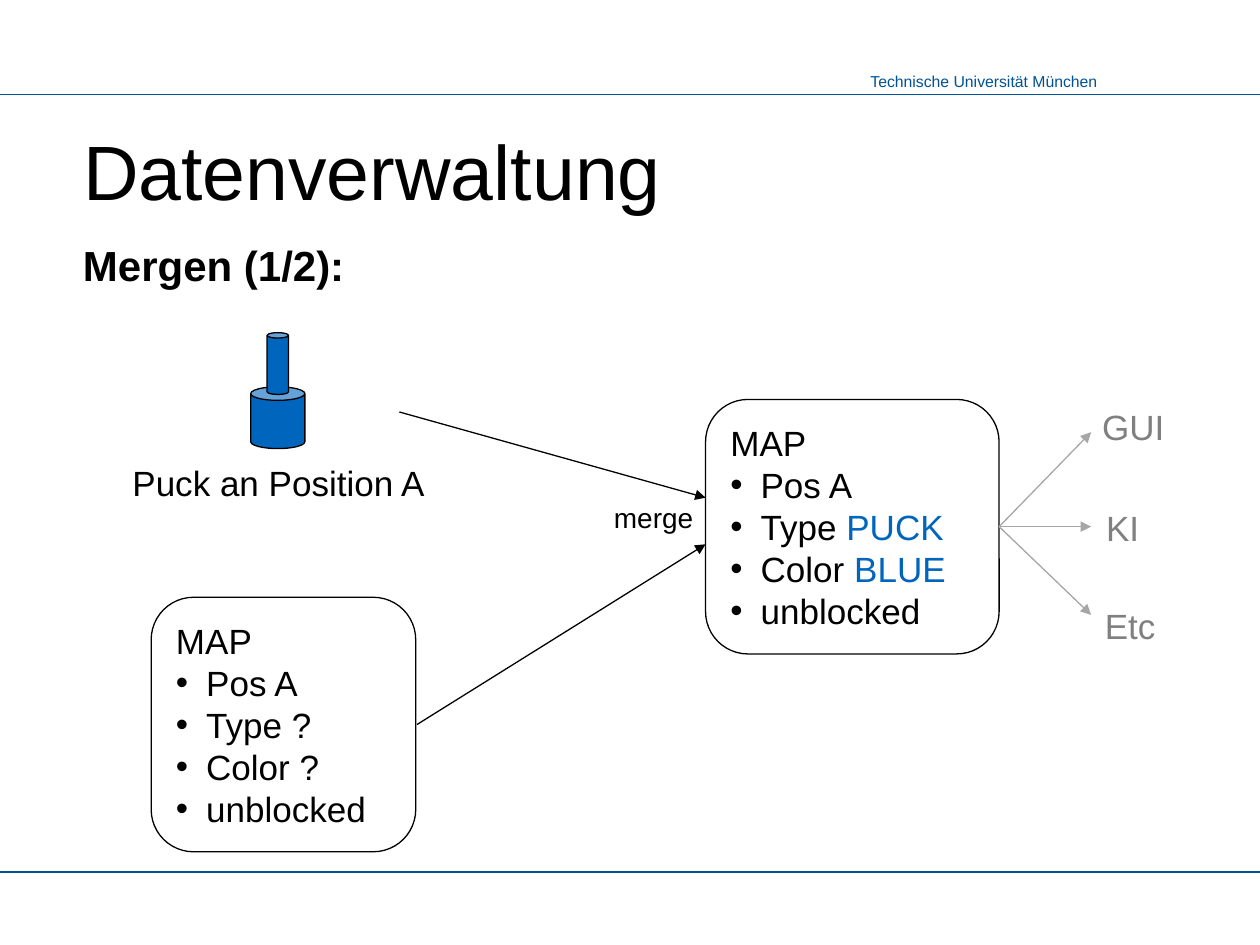
from lxml import etree
from pptx import Presentation
from pptx.dml.color import RGBColor
from pptx.enum import shapes, text
from pptx.oxml.ns import qn
from pptx.util import Inches, Pt

COLORS = {"ink": "000000", "rule": "005293", "blue": "0065BD",
          "arrow": "A6A6A6", "consumer": "808080"}
SHAPE = shapes.MSO_SHAPE
LEFT, RIGHT = text.PP_ALIGN.LEFT, text.PP_ALIGN.RIGHT


def rgb(name):
    return RGBColor.from_string(COLORS[name])


def style(run, size, color="ink", bold=False):
    run.font.name = "Arial"
    run.font.size = Pt(size)
    run.font.bold = bold
    run.font.color.rgb = rgb(color)


def add_label(slide, words, box, size, color="ink", align=LEFT,
              bold=False, wrap=False):
    frame = slide.shapes.add_textbox(*map(Inches, box)).text_frame
    frame.word_wrap = wrap
    frame.text = words
    frame.paragraphs[0].alignment = align
    style(frame.paragraphs[0].runs[0], size, color, bold)


def add_line(slide, start, end, color="ink", arrow=False):
    line = slide.shapes.add_connector(
        shapes.MSO_CONNECTOR.STRAIGHT, *map(Inches, start + end))
    line.line.color.rgb = rgb(color)
    line.line.width = Pt(0.75)
    if arrow:
        etree.SubElement(line.line._get_or_add_ln(), qn("a:tailEnd"), type="triangle")
    etree.SubElement(line._element.spPr, qn("a:effectLst"))


def add_outlined(slide, preset, box, fill=None):
    shape = slide.shapes.add_shape(preset, *map(Inches, box))
    shape.shadow.inherit = False
    if fill:
        shape.fill.solid()
        shape.fill.fore_color.rgb = rgb(fill)
    else:
        shape.fill.background()
    shape.line.color.rgb = rgb("ink")
    shape.line.width = Pt(0.75)
    return shape


def add_bullet(paragraph):
    properties = paragraph._p.get_or_add_pPr()
    properties.set("marL", str(Inches(0.24)))
    properties.set("indent", str(-Inches(0.24)))
    etree.SubElement(properties, qn("a:buFont"), typeface="Arial")
    etree.SubElement(properties, qn("a:buChar"), char="•")


def add_map(slide, box, entries):
    """Add a MAP box; each entry is a list of (words, colour) pieces."""
    frame = add_outlined(slide, SHAPE.ROUNDED_RECTANGLE, box).text_frame
    frame.word_wrap = True
    frame.vertical_anchor = text.MSO_ANCHOR.MIDDLE
    for index, pieces in enumerate([[("MAP", "ink")]] + entries):
        paragraph = frame.add_paragraph() if index else frame.paragraphs[0]
        paragraph.alignment = LEFT
        if index:
            add_bullet(paragraph)
        for words, color in pieces:
            run = paragraph.add_run()
            run.text = words
            style(run, 20, color)


def set_title(slide, words):
    title = slide.shapes.title
    title.left, title.top, title.width, title.height = map(
        Inches, (0.56, 0.93, 8.89, 0.66))
    frame = title.text_frame
    frame.text = words
    frame.auto_size = text.MSO_AUTO_SIZE.NONE
    frame.vertical_anchor = text.MSO_ANCHOR.TOP
    frame.paragraphs[0].alignment = LEFT
    style(frame.paragraphs[0].runs[0], 44)


def main():
    deck = Presentation()
    deck.slide_width, deck.slide_height = Inches(10), Inches(7.5)
    slide = deck.slides.add_slide(deck.slide_layouts[5])

    add_label(slide, "Technische Universität München", (6.81, 0.52, 2.01, 0.25), 9, "rule")
    for y in (6.92, 0.75):
        add_line(slide, (0, y), (10, y), "rule")
    set_title(slide, "Datenverwaltung")
    add_label(slide, "Mergen (1/2):", (0.56, 1.85, 8.89, 0.6), 24, bold=True, wrap=True)

    for puck_part in ((1.99, 3.07, 0.43, 0.49), (2.12, 2.64, 0.17, 0.49)):
        add_outlined(slide, SHAPE.CAN, puck_part, "blue")
    add_label(slide, "Puck an Position A", (0.95, 3.61, 2.52, 0.43), 20, align=RIGHT)

    add_map(slide, (1.2, 4.74, 2.1, 2.02),
            [[(words, "ink")] for words in ("Pos A", "Type ?", "Color ?", "unblocked")])
    add_map(slide, (5.6, 3.17, 2.33, 2.02),
            [[("Pos A", "ink")],
             [("Type ", "ink"), ("PUCK", "blue")],
             [("Color ", "ink"), ("BLUE", "blue")],
             [("unblocked", "ink")]])

    add_line(slide, (3.31, 5.75), (5.6, 4.32), arrow=True)
    add_line(slide, (3.17, 3.27), (5.6, 3.95), arrow=True)
    add_label(slide, "merge", (4.77, 3.92, 0.83, 0.36), 16, align=RIGHT)

    consumers = (("GUI", (8.62, 3.17, 0.72, 0.43), 3.43, RIGHT),
                 ("KI", (8.66, 3.97, 0.48, 0.43), 4.18, RIGHT),
                 ("Etc", (8.67, 4.75, 0.62, 0.43), 4.88, LEFT))
    for name, box, arrow_y, align in consumers:
        add_line(slide, (7.93, 4.18), (8.66, arrow_y), "arrow", arrow=True)
        add_label(slide, name, box, 20, "consumer", align)

    deck.save("out.pptx")


if __name__ == "__main__":
    main()
